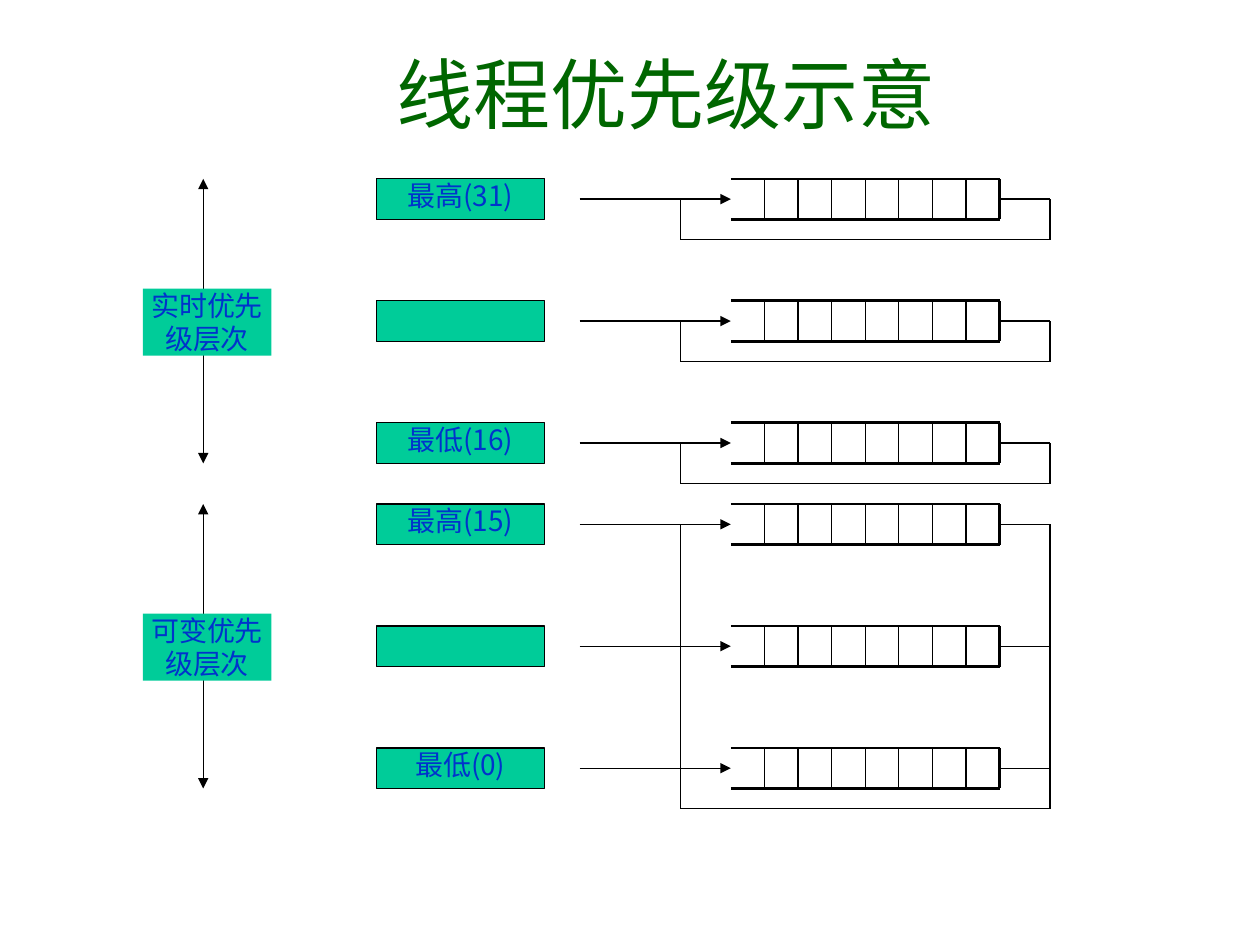
"""Build the thread priority slide: priority levels, their queues and feedback loops."""
from dataclasses import dataclass

from lxml import etree
from pptx import Presentation
from pptx import util as u
from pptx.dml.color import RGBColor
from pptx.enum import shapes, text
from pptx.oxml.ns import qn


@dataclass(frozen=True)
class Theme:
    font: str = "Noto Sans CJK JP"
    title: RGBColor = RGBColor(0x00, 0x66, 0x00)
    label: RGBColor = RGBColor(0x00, 0x33, 0xCC)
    box: RGBColor = RGBColor(0x00, 0xCC, 0x99)
    ink: RGBColor = RGBColor(0x00, 0x00, 0x00)
    title_size: int = 44
    label_size: int = 16
    leading: float = 1.18
    thin: float = 0.75
    thick: float = 1.5


theme = Theme()
deck = Presentation()
deck.slide_width, deck.slide_height = u.Inches(10), u.Inches(7.5)
slide = deck.slides.add_slide(deck.slide_layouts[6])
column, row = deck.slide_width / 75, deck.slide_height / 46.5


def draw_line(x1, y1, x2, y2, width=theme.thin, arrows=()):
    line = slide.shapes.add_connector(
        shapes.MSO_CONNECTOR.STRAIGHT,
        round(x1 * column), round(y1 * row), round(x2 * column), round(y2 * row))
    line.line.color.rgb = theme.ink
    line.line.width = u.Pt(width)
    for end in arrows:
        etree.SubElement(line.line._get_or_add_ln(), qn(f"a:{end}"), type="triangle")
    etree.SubElement(line._element.spPr, qn("a:effectLst"))


def draw_text(x, y, width, height, lines, size, color, filled=True, outlined=False):
    panel = slide.shapes.add_shape(
        shapes.MSO_SHAPE.RECTANGLE,
        round(x * column), round(y * row), round(width * column), round(height * row))
    panel.shadow.inherit = False
    if filled:
        panel.fill.solid()
        panel.fill.fore_color.rgb = theme.box
    else:
        panel.fill.background()
    if outlined:
        panel.line.color.rgb = theme.ink
        panel.line.width = u.Pt(theme.thin)
    else:
        panel.line.fill.background()
    frame = panel.text_frame
    frame.word_wrap = True
    frame.margin_left = frame.margin_right = frame.margin_top = frame.margin_bottom = 0
    frame.vertical_anchor = text.MSO_ANCHOR.TOP if filled else text.MSO_ANCHOR.MIDDLE
    for index, words in enumerate(lines):
        paragraph = frame.add_paragraph() if index else frame.paragraphs[0]
        paragraph.alignment = text.PP_ALIGN.CENTER
        paragraph.line_spacing = u.Pt(round(size * theme.leading))
        run = paragraph.add_run()
        run.text = words
        run.font.size = u.Pt(size)
        run.font.name = theme.font
        run.font.color.rgb = color
        etree.SubElement(run.font._element, qn("a:ea"), typeface=theme.font)


draw_text(5.6, 2, 68.1, 5.15, ["线程优先级示意"], theme.title_size, theme.title, filled=False)

axis, label_left, label_width = 12.1, 22.4, 10
feed, loop_left, queue_left, queue_right, loop_right = 34.5, 40.5, 43.5, 59.5, 62.5
queue_height, level_step = 2, 6
bands = [
    (8.8, ["实时优先", "级层次"], ["最高(31)", "", "最低(16)"], False),
    (24.8, ["可变优先", "级层次"], ["最高(15)", "", "最低(0)"], True),
]

for band_top, band_name, levels, shared_loop in bands:
    band_bottom = band_top + 2 * level_step + queue_height
    draw_line(axis, band_top, axis, band_bottom, arrows=("headEnd", "tailEnd"))
    draw_text(8.5, band_top + 5.4, 7.65, 3.3, band_name, theme.label_size, theme.label)

    for level, name in enumerate(levels):
        top = band_top + level * level_step
        middle, bottom = top + queue_height / 2, top + queue_height
        draw_text(label_left, top, label_width, queue_height, [name] if name else [],
                  theme.label_size, theme.label, outlined=True)
        for rail in (top, bottom):
            draw_line(queue_left, rail, queue_right, rail, theme.thick)
        draw_line(queue_right, top, queue_right, bottom, theme.thick)
        for cell in range(1, 8):
            divider = queue_left + 2 * cell
            draw_line(divider, top, divider, bottom)
        draw_line(feed, middle, queue_left, middle, arrows=("tailEnd",))
        draw_line(queue_right, middle, loop_right, middle)

        if not shared_loop or level == 0:
            loop_bottom = (band_bottom if shared_loop else bottom) + 1
            draw_line(loop_left, loop_bottom, loop_right, loop_bottom)
            for side in (loop_left, loop_right):
                draw_line(side, middle, side, loop_bottom)

deck.save("out.pptx")
